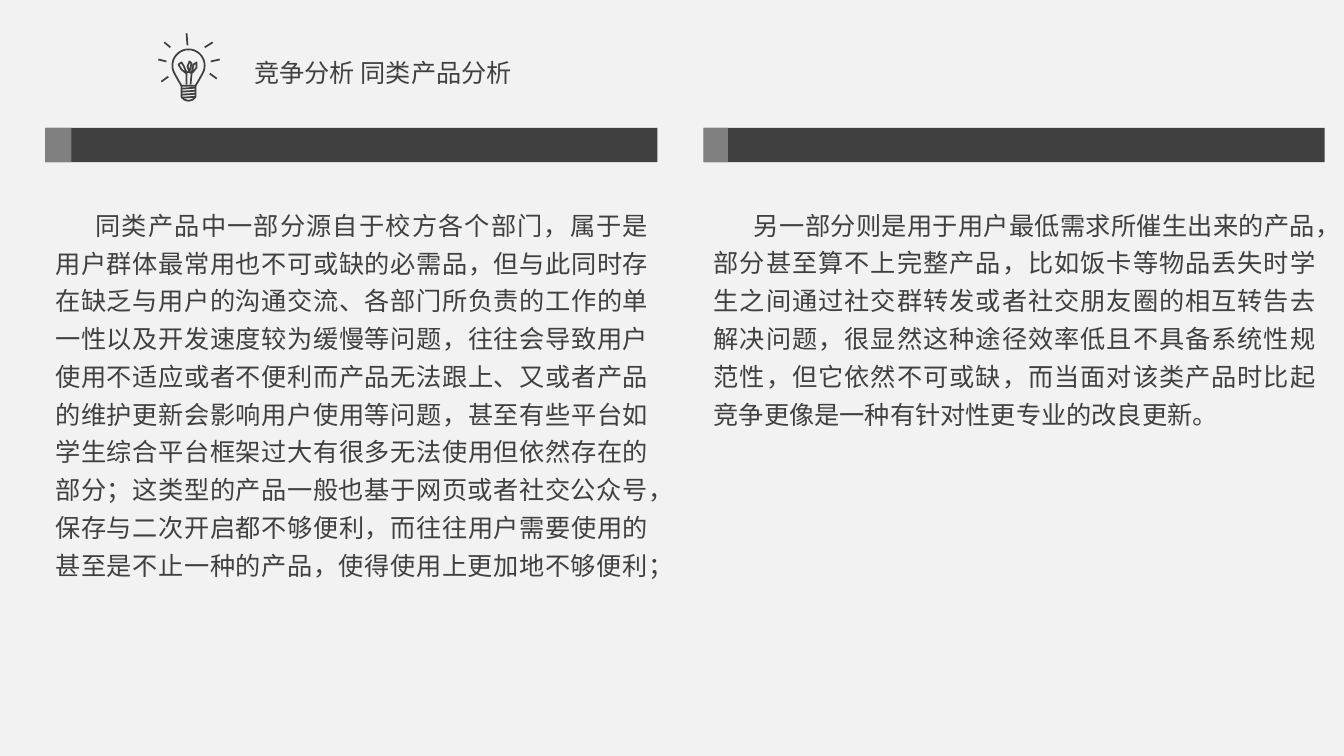
"""Build the slide on competing products: a light bulb, a title and two text columns."""
from math import cos, radians, sin

from lxml.etree import SubElement
from pptx import Presentation
from pptx.dml.color import RGBColor
from pptx.enum.shapes import MSO_CONNECTOR as CONNECTOR, MSO_SHAPE as SHAPE
from pptx.enum.text import MSO_ANCHOR as ANCHOR, MSO_AUTO_SIZE as AUTO_SIZE, PP_ALIGN as ALIGN
from pptx.oxml.ns import qn
from pptx.util import Inches, Pt

FONT = "Noto Sans CJK SC"
DARK, GREY, PALE = "404040", "808080", "F2F2F2"


def paint(color_format, color):
    color_format.rgb = RGBColor.from_string(color)


def write(frame, text, align, spacing):
    frame.word_wrap = True
    frame.auto_size = AUTO_SIZE.NONE
    frame.text = text
    paragraph = frame.paragraphs[0]
    paragraph.alignment = align
    paragraph.line_spacing = spacing
    font = paragraph.font
    font.size = Pt(18)
    paint(font.color, DARK)
    font.name = FONT
    SubElement(font._element, qn("a:ea"), typeface=FONT)
    return paragraph


prs = Presentation()
prs.slide_width, prs.slide_height = Inches(13.33), Inches(7.5)
slide = prs.slides.add_slide(prs.slide_layouts[5])
slide.background.fill.solid()
paint(slide.background.fill.fore_color, PALE)
shapes = slide.shapes

title = shapes.title
title.left, title.top, title.width, title.height = Inches(1.09), Inches(0.52), Inches(5.42), Inches(0.4)
title.text_frame.vertical_anchor = ANCHOR.MIDDLE
write(title.text_frame, "竞争分析 同类产品分析", ALIGN.CENTER, 1.0)

glass = [(1.87 + 0.16 * cos(radians(a)), 0.65 + 0.16 * sin(radians(a))) for a in range(150, 391, 10)]
bulb = [(1.8, 0.85), (1.77, 0.8), *glass, (1.97, 0.8), (1.94, 0.85), (1.8, 0.85)]
socket = [(1.8, 0.85), (1.8, 0.96), (1.83, 0.99), (1.87, 1), (1.91, 0.99), (1.94, 0.96), (1.94, 0.85)]
filament = [
    (1.85, 0.84), (1.85, 0.73), (1.8, 0.69), (1.77, 0.64), (1.8, 0.62), (1.82, 0.65),
    (1.85, 0.72), (1.88, 0.71), (1.9, 0.63), (1.88, 0.61), (1.86, 0.66), (1.88, 0.72),
    (1.91, 0.72), (1.95, 0.67), (1.95, 0.62), (1.92, 0.64), (1.9, 0.73), (1.89, 0.84),
]
for outline in (bulb, socket, filament):
    start, *rest = [(Inches(x), Inches(y)) for x, y in outline]
    builder = shapes.build_freeform(*start, scale=1.0)
    builder.add_line_segments(rest, close=False)
    curve = builder.convert_to_shape()
    curve.shadow.inherit = False
    curve.fill.background()
    paint(curve.line.color, DARK)
    curve.line.width = Pt(1.25)

rays = [
    (1.85, 0.33, 1.86, 0.45), (2.11, 0.42, 2.03, 0.47), (2.18, 0.59, 2.09, 0.61), (2.15, 0.78, 2.08, 0.73),
    (1.63, 0.42, 1.69, 0.47), (1.57, 0.59, 1.65, 0.61), (1.6, 0.81, 1.67, 0.76),
]
threads = [(1.8, y, 1.94, y - 0.01) for y in (0.88, 0.91, 0.94, 0.97)]
for ends in rays + threads:
    stroke = shapes.add_connector(CONNECTOR.STRAIGHT, *map(Inches, ends))
    paint(stroke.line.color, DARK)
    stroke.line.width = Pt(1.25)
    SubElement(stroke._element.spPr, qn("a:effectLst"))

columns = [
    (0.45, 6.07, 0.26, 3.85,
     "同类产品中一部分源自于校方各个部门，属于是用户群体最常用也不可或缺的必需品，"
     "但与此同时存在缺乏与用户的沟通交流、各部门所负责的工作的单一性以及开发速度较为缓慢等问题，"
     "往往会导致用户使用不适应或者不便利而产品无法跟上、又或者产品的维护更新会影响用户使用等问题，"
     "甚至有些平台如学生综合平台框架过大有很多无法使用但依然存在的部分；"
     "这类型的产品一般也基于网页或者社交公众号，保存与二次开启都不够便利，"
     "而往往用户需要使用的甚至是不止一种的产品，使得使用上更加地不够便利；"),
    (6.98, 6.16, 0.24, 2.34,
     "另一部分则是用于用户最低需求所催生出来的产品，部分甚至算不上完整产品，"
     "比如饭卡等物品丢失时学生之间通过社交群转发或者社交朋友圈的相互转告去解决问题，"
     "很显然这种途径效率低且不具备系统性规范性，但它依然不可或缺，"
     "而当面对该类产品时比起竞争更像是一种有针对性更专业的改良更新。"),
]
for left, width, tab_width, text_height, text in columns:
    for bar_width, color in ((width, DARK), (tab_width, GREY)):
        bar = shapes.add_shape(SHAPE.RECTANGLE, Inches(left), Inches(1.27), Inches(bar_width), Inches(0.34))
        bar.shadow.inherit = False
        bar.fill.solid()
        paint(bar.fill.fore_color, color)
        bar.line.fill.background()
    body = shapes.add_textbox(Inches(left), Inches(1.96), Inches(width + 0.01), Inches(text_height))
    paragraph = write(body.text_frame, text, ALIGN.JUSTIFY, 1.25)
    paragraph._p.get_or_add_pPr().set("indent", str(Inches(0.4)))

prs.save("out.pptx")
